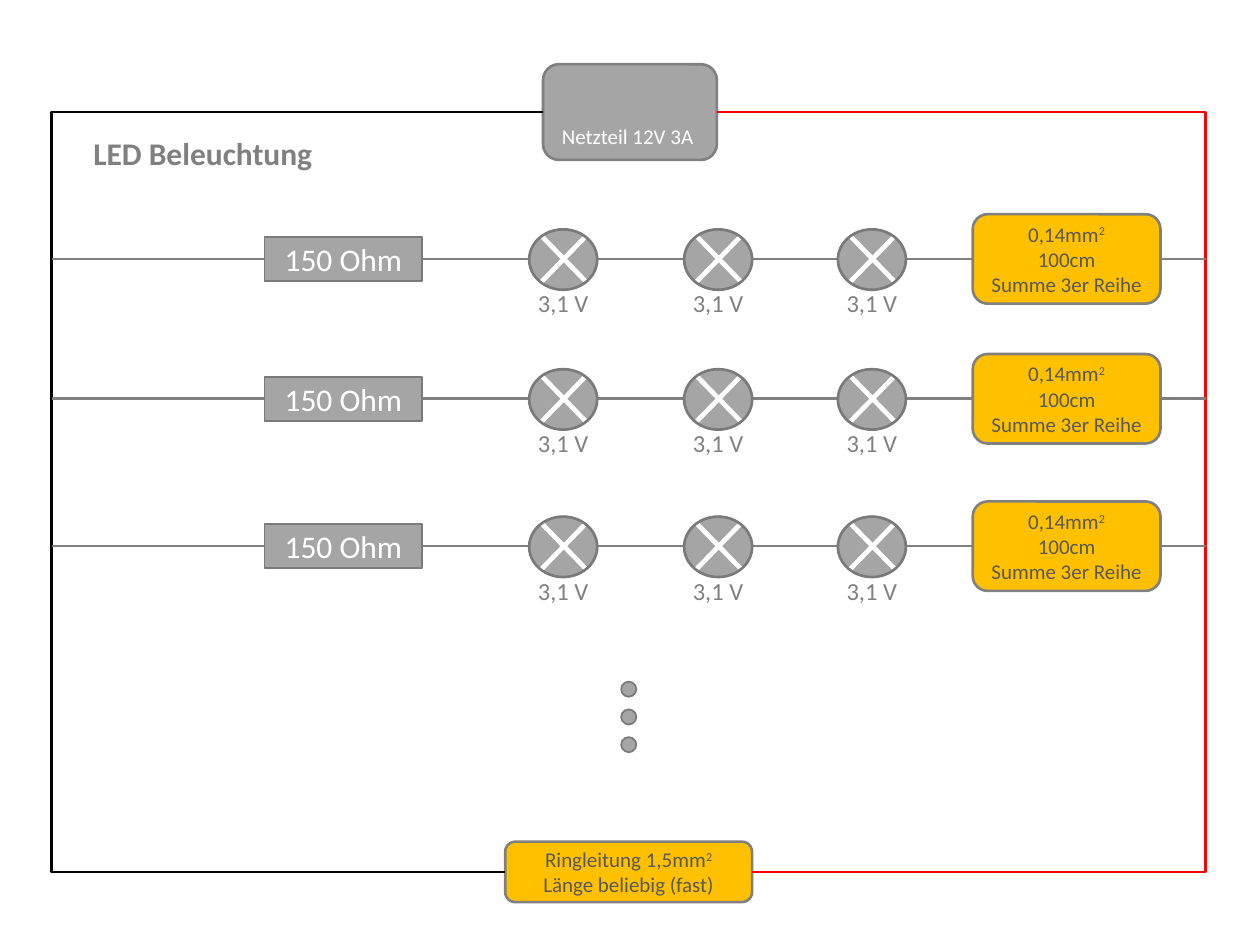
from lxml.etree import SubElement
from pptx import Presentation
from pptx.dml.color import RGBColor
from pptx.enum.shapes import MSO_CONNECTOR, MSO_SHAPE
from pptx.enum.text import MSO_ANCHOR, MSO_AUTO_SIZE, PP_ALIGN
from pptx.oxml.ns import qn
from pptx.util import Inches, Pt

COLORS = {
    "black": "000000",
    "red": "FF0000",
    "white": "FFFFFF",
    "fill": "A5A5A5",
    "outline": "7A7A7A",
    "gray": "808080",
    "dark": "595959",
    "yellow": "FFC000",
}


def write(shape, text, size, color, bold=False, align=PP_ALIGN.CENTER,
          anchor=MSO_ANCHOR.MIDDLE, wrap=True):
    frame = shape.text_frame
    frame.word_wrap = wrap
    frame.vertical_anchor = anchor
    if not wrap:
        frame.auto_size = MSO_AUTO_SIZE.SHAPE_TO_FIT_TEXT
    for index, line in enumerate(text.split("\n")):
        paragraph = frame.add_paragraph() if index else frame.paragraphs[0]
        paragraph.alignment = align
        base, _, exponent = line.partition("^")
        for part, baseline in ((base, "0"), (exponent, "30000")):
            if part:
                run = paragraph.add_run()
                run.text = part
                run.font.name = "Calibri"
                run.font.size = Pt(size)
                run.font.bold = bold
                run.font.color.rgb = RGBColor.from_string(COLORS[color])
                run._r.get_or_add_rPr().set("baseline", baseline)


def add_shape(kind, left, top, width, height, fill=None, line=None, weight=1.5):
    shape = slide.shapes.add_shape(
        kind, Inches(left), Inches(top), Inches(width), Inches(height))
    shape.shadow.inherit = False
    if fill:
        shape.fill.solid()
        shape.fill.fore_color.rgb = RGBColor.from_string(COLORS[fill])
    else:
        shape.fill.background()
    if line:
        shape.line.color.rgb = RGBColor.from_string(COLORS[line])
        shape.line.width = Pt(weight)
    else:
        shape.line.fill.background()
    return shape


presentation = Presentation()
presentation.slide_width = Inches(10)
presentation.slide_height = Inches(7.5)
slide = presentation.slides.add_slide(presentation.slide_layouts[5])

title = slide.shapes.title
title.left, title.top = Inches(0.64), Inches(1.01)
title.width, title.height = Inches(1.95), Inches(0.4)
write(title, "LED Beleuchtung", 18, "gray", bold=True, align=PP_ALIGN.LEFT,
      anchor=MSO_ANCHOR.TOP, wrap=False)

power_supply = add_shape(MSO_SHAPE.ROUNDED_RECTANGLE, 4.31, 0.51, 1.38, 0.76, "fill", "gray")
write(power_supply, "Netzteil 12V 3A ", 12, "white", anchor=MSO_ANCHOR.BOTTOM)
ring_cable = add_shape(MSO_SHAPE.ROUNDED_RECTANGLE, 4.01, 6.68, 1.96, 0.48, "yellow", "gray")
write(ring_cable, "Ringleitung 1,5mm^2\nLänge beliebig (fast)", 12, "dark")

left_rail, right_rail = 0.41, 9.57
for rail, site, color in ((right_rail, 3, "red"), (left_rail, 1, "black")):
    connector = slide.shapes.add_connector(MSO_CONNECTOR.ELBOW, 0, 0, 0, 0)
    connector.begin_connect(power_supply, site)
    connector.end_connect(ring_cable, site)
    connector.line.color.rgb = RGBColor.from_string(COLORS[color])
    bend = (Inches(rail) - connector.begin_x) / (connector.end_x - connector.begin_x)
    guides = connector._element.spPr.find(qn("a:prstGeom")).get_or_add_avLst()
    SubElement(guides, qn("a:gd"), name="adj1", fmla=f"val {round(bend * 100000)}")

lamp_lefts = (4.2, 5.43, 6.65)
lamp_width = 0.54
wire_starts = [left_rail, 3.35] + [left + lamp_width for left in lamp_lefts]
wire_ends = [2.1, *lamp_lefts, right_rail]
for top in (1.7, 2.81, 3.98):
    wire_y = Inches(top + 0.355)
    for start, end in zip(wire_starts, wire_ends):
        wire = slide.shapes.add_connector(
            MSO_CONNECTOR.STRAIGHT, Inches(start), wire_y, Inches(end), wire_y)
        wire.line.color.rgb = RGBColor.from_string(COLORS["gray"])

    for left in lamp_lefts:
        lamp = (left, top + 0.12, lamp_width, 0.48)
        add_shape(MSO_SHAPE.FLOWCHART_CONNECTOR, *lamp, "fill", "outline", 1)
        cross = add_shape(MSO_SHAPE.MATH_MULTIPLY, left - 0.07, top, 0.69, 0.71, "white")
        cross.adjustments[0] = 0.054
        add_shape(MSO_SHAPE.FLOWCHART_CONNECTOR, *lamp, line="outline")
        label = slide.shapes.add_textbox(
            Inches(left - 0.03), Inches(top + 0.54), Inches(0.61), Inches(0.34))
        write(label, "3,1 V", 14, "gray", align=PP_ALIGN.LEFT,
              anchor=MSO_ANCHOR.TOP, wrap=False)

    resistor = add_shape(MSO_SHAPE.RECTANGLE, 2.1, top + 0.18, 1.25, 0.35, "fill", "outline", 1)
    write(resistor, "150 Ohm", 18, "white")
    cable = add_shape(MSO_SHAPE.ROUNDED_RECTANGLE, 7.72, top, 1.49, 0.71, "yellow", "gray")
    write(cable, "0,14mm^2\n100cm\nSumme 3er Reihe", 12, "dark")

for index in range(3):
    add_shape(MSO_SHAPE.FLOWCHART_CONNECTOR, 4.93, 5.41 + 0.22 * index, 0.12, 0.12,
              "fill", "outline", 1)

for connector in slide.shapes:
    if hasattr(connector, "begin_x"):
        connector.line.width = Pt(1.5)
        SubElement(connector._element.spPr, qn("a:effectLst"))

presentation.save("out.pptx")
